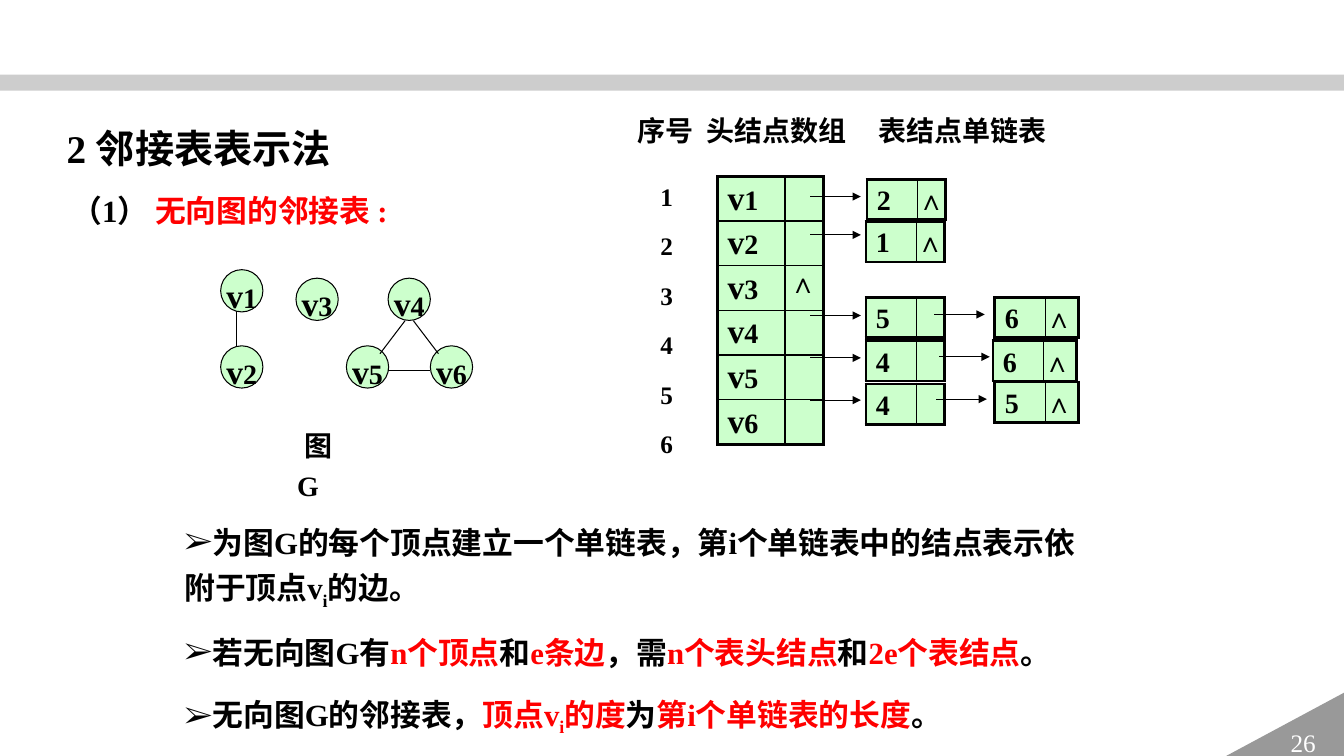
from lxml import etree
from pptx import Presentation
from pptx.dml.color import RGBColor
from pptx.enum.shapes import MSO_CONNECTOR, MSO_SHAPE
from pptx.enum.text import MSO_ANCHOR, MSO_AUTO_SIZE, PP_ALIGN
from pptx.oxml.ns import qn
from pptx.util import Pt

LEFT, CENTER = PP_ALIGN.LEFT, PP_ALIGN.CENTER
TOP, MIDDLE = MSO_ANCHOR.TOP, MSO_ANCHOR.MIDDLE
STRAIGHT = MSO_CONNECTOR.STRAIGHT
TITLE_ONLY = 5
COLORS = {"black": "000000", "red": "FF0000", "white": "FFFFFF",
          "green": "CCFFCC", "bar": "A6A6A6", "corner": "999999"}
FONT = "Times New Roman"
THICK, THIN = 2.25, 1
RED = {"color": "red"}
SUB = {"baseline": -25000}
RED_SUB = {**RED, **SUB}


def color(name):
    return RGBColor.from_string(COLORS[name])


def add_xml(parent, tag, **attributes):
    return etree.SubElement(parent, qn(tag), attributes)


def write(frame, paragraphs, size, align=LEFT, bold=True, text_color="black",
          bullet=None, tab=None, indent=None, line_spacing=1.2):
    """Fill a text frame; each paragraph is a list of (text, format) runs."""
    for index, runs in enumerate(paragraphs):
        paragraph = frame.add_paragraph() if index else frame.paragraphs[0]
        properties = paragraph._p.get_or_add_pPr()
        if bullet:
            bullet_color = add_xml(properties, "a:buClr")
            add_xml(bullet_color, "a:srgbClr", val=COLORS["black"])
            add_xml(properties, "a:buFont", typeface=FONT)
            add_xml(properties, "a:buChar", char=bullet)
        if tab:
            stops = add_xml(properties, "a:tabLst")
            add_xml(stops, "a:tab", pos=str(Pt(tab)), algn="l")
        if indent:
            properties.set("indent", str(Pt(indent)))
        spacing = Pt(round(size * 0.26, 1))
        layout = {"alignment": align, "line_spacing": line_spacing,
                  "space_before": spacing if index else Pt(0),
                  "space_after": spacing}
        for name, value in layout.items():
            setattr(paragraph, name, value)
        for text, style in runs:
            run = paragraph.add_run()
            run.text = text
            font = {"name": FONT, "size": Pt(style.get("size", size)), "bold": bold}
            for name, value in font.items():
                setattr(run.font, name, value)
            run.font.color.rgb = color(style.get("color", text_color))
            if "baseline" in style:
                run._r.get_or_add_rPr().set("baseline", str(style["baseline"]))


def vertex_name(number):
    return [("v", {"size": 24}), (str(number), {"size": 20})]


def add_text(shapes, box, paragraphs, size, wrap=True, **options):
    shape = shapes.add_textbox(*map(Pt, box))
    shape.text_frame.word_wrap = wrap
    write(shape.text_frame, paragraphs, size, **options)


def add_filled(shapes, preset, box, fill, outlined=False):
    shape = shapes.add_shape(preset, *map(Pt, box))
    shape.shadow.inherit = False
    shape.fill.solid()
    shape.fill.fore_color.rgb = color(fill)
    if outlined:
        shape.line.color.rgb = color("black")
        shape.line.width = Pt(0.75)
    else:
        shape.line.fill.background()
    return shape


def add_line(shapes, x1, y1, x2, y2, arrow=False):
    connector = shapes.add_connector(STRAIGHT, *map(Pt, (x1, y1, x2, y2)))
    connector.line.color.rgb = color("black")
    connector.line.width = Pt(0.75)
    if arrow:
        add_xml(connector.line._get_or_add_ln(), "a:tailEnd", type="triangle")
    add_xml(connector._element.spPr, "a:effectLst")


def set_border(cell, side, width):
    line = add_xml(cell._tc.get_or_add_tcPr(), f"a:ln{side}", w=str(Pt(width)))
    fill = add_xml(line, "a:solidFill")
    add_xml(fill, "a:srgbClr", val=COLORS["black"])


def add_cells(shapes, left, top, widths, height, rows, mark_margin=0, **options):
    """Add a green table with a thick frame and thin inner lines."""
    size = (sum(widths), height * len(rows))
    frame = shapes.add_table(len(rows), len(widths), *map(Pt, (left, top, *size)))
    table = frame.table
    table.first_row = table.horz_banding = False
    for column, width in zip(table.columns, widths):
        column.width = Pt(width)
    last_row, last_column = len(rows) - 1, len(widths) - 1
    for r, row in enumerate(rows):
        table.rows[r].height = Pt(height)
        for c, runs in enumerate(row):
            cell = table.cell(r, c)
            margin = mark_margin if c else 7.2
            margins = {"margin_left": margin, "margin_right": margin,
                       "margin_top": 0, "margin_bottom": 0}
            for name, value in margins.items():
                setattr(cell, name, Pt(value))
            outer = {"L": c == 0, "R": c == last_column,
                     "T": r == 0, "B": r == last_row}
            for side, is_outer in outer.items():
                set_border(cell, side, THICK if is_outer else THIN)
            cell.fill.solid()
            cell.fill.fore_color.rgb = color("green")
            if runs:
                write(cell.text_frame, [runs], 20, **options)


def add_page_frame(shapes):
    bar = add_filled(shapes, MSO_SHAPE.RECTANGLE, (0, 53.3, 960, 11.5), "bar")
    tint = bar._element.spPr.find(qn("a:solidFill")).find(qn("a:srgbClr"))
    add_xml(tint, "a:alpha", val="56000")
    corner = add_filled(shapes, MSO_SHAPE.RIGHT_TRIANGLE,
                        (872, 494.6, 88.5, 47.5), "corner")
    corner._element.spPr.find(qn("a:xfrm")).set("flipH", "1")
    corner.text_frame.vertical_anchor = MIDDLE
    write(corner.text_frame, [[("26", {})]], 18, align=CENTER, bold=False,
          text_color="white", line_spacing=1)


def add_title(slide):
    title = slide.shapes.title
    box = {"left": 40.3, "top": 78.5, "width": 698.4, "height": 44.6}
    for name, value in box.items():
        setattr(title, name, Pt(value))
    frame = title.text_frame
    frame.auto_size = MSO_AUTO_SIZE.NONE
    frame.vertical_anchor = TOP
    write(frame, [[("2 邻接表表示法", {})]], 28)


def add_graph(shapes):
    graph = shapes.add_group_shape().shapes
    vertices = {4: (277.2, 198.7), 5: (247.4, 247), 6: (307.4, 247),
                3: (211.4, 198.7), 1: (157.6, 192.6), 2: (157.6, 247)}
    for number, corner in vertices.items():
        circle = add_filled(graph, MSO_SHAPE.OVAL, (*corner, 30.2, 30.2),
                            "green", outlined=True)
        circle.text_frame.word_wrap = False
        circle.text_frame.vertical_anchor = MIDDLE
        write(circle.text_frame, [vertex_name(number)], 20, align=CENTER)
    edges = [(169.2, 222.5, 169.2, 247), (289.4, 229, 271.4, 252.7),
             (295.2, 229, 313.2, 252.7), (277.2, 265, 307.4, 265)]
    for edge in edges:
        add_line(graph, *edge)
    add_text(graph, (205.2, 297.4, 40, 64), [[("图G", {})]], 20, indent=5)


def add_adjacency_lists(shapes):
    mark = [("∧", {})]
    heads = [[vertex_name(n), mark if n == 3 else None] for n in range(1, 7)]
    add_cells(shapes, 512.6, 126, (48.2, 27.4), 31.9, heads, mark_margin=2.9,
              line_spacing=1.1)
    add_text(shapes, (460.1, 121.7, 53.3, 221),
             [[(str(n), {})] for n in range(1, 7)], 18, indent=4.5)

    first_nodes = [("2", mark, 619.2, 128.2), ("1", mark, 618.5, 158.4),
                   ("5", None, 618.5, 212.4), ("4", None, 618.5, 243.4),
                   ("4", None, 618.5, 274.3)]
    second_nodes = [("6", mark, 710.6, 212.4), ("6", mark, 709.2, 243.4),
                    ("5", mark, 710.6, 272.9)]
    for nodes, pointer_width in ((first_nodes, 20.2), (second_nodes, 23.8)):
        for vertex, pointer, left, top in nodes:
            add_cells(shapes, left, top, (36, pointer_width), 28.6,
                      [[[(vertex, {})], pointer]])

    arrows = [(578.9, y) for y in (140.4, 167.8, 225.4, 255.6, 285.8)]
    arrows += [(667.4, 224.6), (671, 254.9), (668.9, 285.1)]
    for x, y in arrows:
        add_line(shapes, x, y, x + 36, y, arrow=True)


def add_notes_on_lists(shapes):
    points = [
        [("为图G的每个顶点建立一个单链表，第i个单链表中的结点表示依附于顶点v", {}),
         ("i", SUB), ("的边。", {})],
        [("若无向图G有", {}), ("n个顶点", RED), ("和", {}), ("e条边", RED),
         ("，需", {}), ("n个表头结点", RED), ("和", {}), ("2e个表结点", RED),
         ("。", {})],
        [("无向图G的邻接表，", {}), ("顶点v", RED), ("i", RED_SUB),
         ("的度", RED), ("为", {}), ("第i个单链表的长度", RED), ("。", {})],
    ]
    add_text(shapes, (124.6, 365, 671, 160.6), points, 22, bullet="➢")


def main():
    presentation = Presentation()
    presentation.slide_width, presentation.slide_height = Pt(960), Pt(540)
    slide = presentation.slides.add_slide(presentation.slide_layouts[TITLE_ONLY])
    shapes = slide.shapes
    add_page_frame(shapes)
    add_title(slide)
    add_text(shapes, (43.9, 128.2, 589.7, 36.7),
             [[("（1） ", {}), ("无向图的邻接表 :", RED)]], 22)
    add_text(shapes, (448.6, 72.7, 166.3, 36), [[("序号\t头结点数组", {})]], 20,
             wrap=False, tab=49)
    add_text(shapes, (620.6, 72.7, 169.2, 36), [[("表结点单链表", {})]], 20)
    add_adjacency_lists(shapes)
    add_graph(shapes)
    add_notes_on_lists(shapes)
    presentation.save("out.pptx")


if __name__ == "__main__":
    main()
